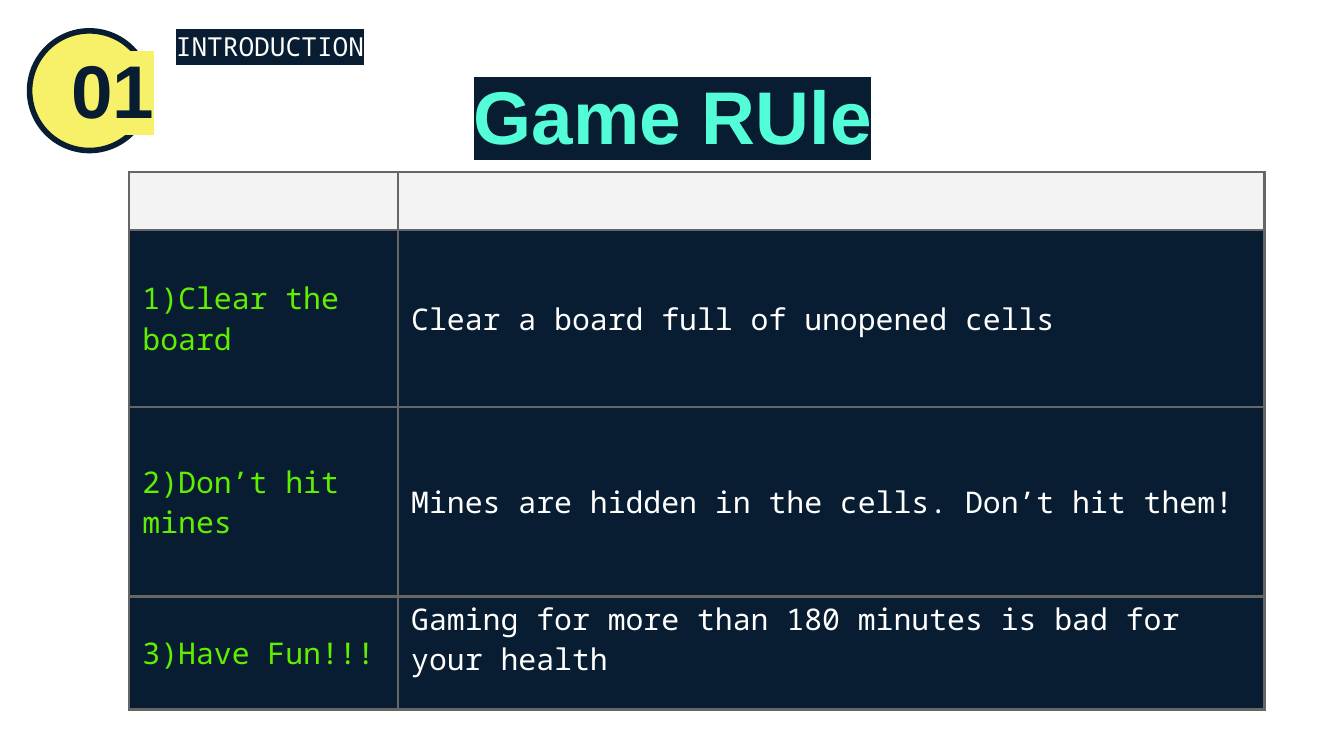
from dataclasses import dataclass

from lxml.etree import SubElement
from pptx import Presentation
from pptx.dml.color import RGBColor
from pptx.enum.shapes import MSO_SHAPE
from pptx.enum.text import MSO_ANCHOR as Anchor, PP_ALIGN as Align
from pptx.oxml.ns import qn
from pptx.util import Inches, Pt

SECTION_NUMBER = "01"
SECTION_NAME = "INTRODUCTION"
TITLE = "Game RUle"
RULES = [
    ("1)Clear the board", "Clear a board full of unopened cells"),
    ("2)Don’t hit mines", "Mines are hidden in the cells. Don’t hit them!"),
    ("3)Have Fun!!!", "Gaming for more than 180 minutes is bad for your health"),
]
SLIDE_WIDTH = 10
SLIDE_HEIGHT = SLIDE_WIDTH * 9 / 16
COLUMN_WIDTHS = (2, 6.45)
ROW_HEIGHTS = (0.43, 1.32, 1.41, 0.84)


@dataclass(frozen=True)
class Theme:
    navy: str = "081D32"
    yellow: str = "F7F169"
    mint: str = "53FDD8"
    green: str = "60EF01"
    white: str = "FFFFFF"
    header: str = "F3F3F3"
    border: str = "666666"
    heading_font: str = "Arial"
    body_font: str = "Noto Sans Mono"
    heading_size: int = 40
    table_size: int = 16
    label_size: int = 14


THEME = Theme()


def rgb(value):
    return RGBColor.from_string(value)


def write(frame, text, font, size, color, highlight, bold=False):
    """Fill the frame with one highlighted run and return its paragraph."""
    para = frame.paragraphs[0]
    para.text = text
    span = para.runs[0]
    span.font.name, span.font.size, span.font.bold = font, Pt(size), bold
    span.font.color.rgb = rgb(color)
    properties = span.font._element
    marker = SubElement(properties, qn("a:highlight"))
    SubElement(marker, qn("a:srgbClr"), val=highlight)
    properties.find(qn("a:solidFill")).addnext(marker)
    return para


def add_text(page, bounds, text, *style, **options):
    box = page.shapes.add_textbox(*map(Inches, bounds))
    frame = box.text_frame
    frame.word_wrap = True
    frame.margin_left = frame.margin_right = Inches(0.1)
    frame.margin_top = frame.margin_bottom = Inches(0.1)
    return write(frame, text, *style, **options)


def paint_cell(cell, fill):
    cell.fill.solid()
    cell.fill.fore_color.rgb = rgb(fill)
    properties = cell._tc.get_or_add_tcPr()
    for index, side in enumerate(("lnL", "lnR", "lnT", "lnB")):
        line = SubElement(properties, qn(f"a:{side}"), w=str(Pt(1.5)))
        solid = SubElement(line, qn("a:solidFill"))
        SubElement(solid, qn("a:srgbClr"), val=THEME.border)
        properties.insert(index, line)


def add_rules(page):
    table = page.shapes.add_table(
        len(ROW_HEIGHTS), len(COLUMN_WIDTHS), Inches(0.96), Inches(1.28),
        Inches(sum(COLUMN_WIDTHS)), Inches(sum(ROW_HEIGHTS))).table
    for column, width in zip(table.columns, COLUMN_WIDTHS):
        column.width = Inches(width)
    for row, height in zip(table.rows, ROW_HEIGHTS):
        row.height = Inches(height)
    for cell in table.rows[0].cells:
        paint_cell(cell, THEME.header)
    for row_index, rule in enumerate(RULES, start=1):
        for column_index, (text, color) in enumerate(zip(rule, (THEME.green, THEME.white))):
            cell = table.cell(row_index, column_index)
            paint_cell(cell, THEME.navy)
            cell.vertical_anchor = Anchor.MIDDLE
            cell.margin_left = Inches(0.1)
            cell.margin_right = cell.margin_top = cell.margin_bottom = 0
            write(cell.text_frame, text, THEME.body_font, THEME.table_size,
                  color, THEME.navy)
    # The closing remark sits a little above the middle of its row.
    table.cell(len(RULES), 1).margin_bottom = Inches(0.21)


def add_badge(page):
    badge = page.shapes.add_shape(
        MSO_SHAPE.OVAL, *map(Inches, (0.22, 0.23, 0.89, 0.89)))
    badge.shadow.inherit = False
    badge.fill.solid()
    badge.fill.fore_color.rgb = rgb(THEME.yellow)
    badge.line.color.rgb = rgb(THEME.navy)
    badge.line.width = Pt(3)


def main():
    deck = Presentation()
    deck.slide_width, deck.slide_height = Inches(SLIDE_WIDTH), Inches(SLIDE_HEIGHT)
    page = deck.slides.add_slide(deck.slide_layouts[6])
    title = add_text(page, (0.79, 0.42, 8.43, 0.63), TITLE, THEME.heading_font,
                     THEME.heading_size, THEME.mint, THEME.navy, bold=True)
    title.alignment = Align.CENTER
    add_rules(page)
    add_badge(page)
    add_text(page, (1.21, 0.13, 2.91, 0.43), SECTION_NAME, THEME.body_font,
             THEME.label_size, THEME.white, THEME.navy)
    add_text(page, (0.43, 0.23, 0.89, 0.43), SECTION_NUMBER, THEME.heading_font,
             THEME.heading_size, THEME.navy, THEME.yellow, bold=True)
    deck.save("out.pptx")


if __name__ == "__main__":
    main()
